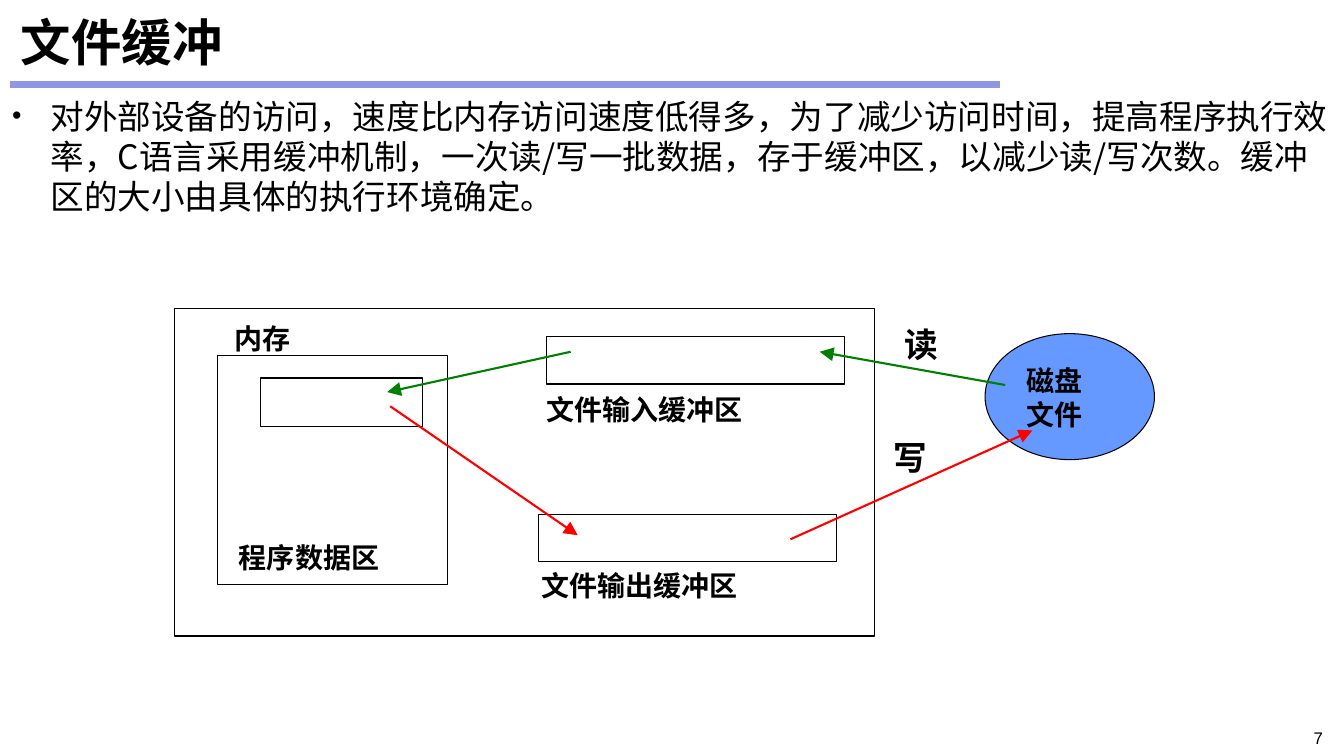
from dataclasses import dataclass

from lxml import etree
from pptx import Presentation
from pptx import util as u
from pptx.dml.color import RGBColor
from pptx.enum import shapes, text
from pptx.oxml import ns

CJK_FONT = "Noto Sans CJK SC"
BLACK, WHITE, DISK_BLUE, RULE_BLUE = "000000", "FFFFFF", "6699FF", "8D97E5"
READ_GREEN, WRITE_RED = "008000", "FF0000"
RECTANGLE = shapes.MSO_SHAPE.RECTANGLE
OVAL = shapes.MSO_SHAPE.OVAL
LINE_RATIO = 1.2
LABEL_SLACK = 0.06


@dataclass
class Area:
    left: float
    top: float
    width: float
    height: float
    kind: shapes.MSO_SHAPE = RECTANGLE
    fill: str = WHITE


@dataclass
class Label:
    content: str
    left: float
    top: float
    size: int = 20


@dataclass
class Line:
    start: tuple[float, float]
    end: tuple[float, float]
    color: str
    width: float = 1.5
    arrow: bool = True


AREAS = [
    Area(1.73, 3.06, 6.94, 3.25),
    Area(2.16, 3.53, 2.28, 2.27),
    Area(5.42, 3.34, 2.96, 0.47),
    Area(5.34, 5.1, 2.96, 0.47),
    Area(2.58, 3.75, 1.61, 0.48),
    Area(9.77, 3.31, 1.68, 1.25, OVAL, DISK_BLUE),
]

LABELS = [
    Label("内存", 2.33, 3.19),
    Label("程序数据区", 2.37, 5.36),
    Label("文件输入缓冲区", 5.42, 3.89),
    Label("文件输出缓冲区", 5.37, 5.64),
    Label("磁盘", 10.18, 3.61),
    Label("文件", 10.18, 3.94),
    Label("读", 8.97, 3.21, 24),
    Label("写", 8.86, 4.33, 24),
]

HEADER_RULE = Line((0.1, 0.84), (9.92, 0.84), RULE_BLUE, 4.5, False)

ARROWS = [
    Line((5.66, 3.49), (3.84, 3.89), READ_GREEN),
    Line((9.97, 3.82), (8.13, 3.49), READ_GREEN),
    Line((3.87, 4.03), (5.73, 5.31), WRITE_RED),
    Line((7.84, 5.35), (10.24, 4.27), WRITE_RED),
]

BODY = (
    "对外部设备的访问，速度比内存访问速度低得多，为了减少访问时间，提高程序执行效率，"
    "C语言采用缓冲机制，一次读/写一批数据，存于缓冲区，以减少读/写次数。"
    "缓冲区的大小由具体的执行环境确定。"
)


def color(value: str) -> RGBColor:
    return RGBColor.from_string(value)


def add_area(slide, area: Area) -> None:
    bounds = map(u.Inches, (area.left, area.top, area.width, area.height))
    shape = slide.shapes.add_shape(area.kind, *bounds)
    shape.shadow.inherit = False
    shape.fill.solid()
    shape.fill.fore_color.rgb = color(area.fill)
    shape.line.color.rgb = color(BLACK)
    shape.line.width = u.Pt(0.75)


def add_line(slide, line: Line) -> None:
    ends = map(u.Inches, (*line.start, *line.end))
    connector = slide.shapes.add_connector(shapes.MSO_CONNECTOR.STRAIGHT, *ends)
    connector.line.color.rgb = color(line.color)
    connector.line.width = u.Pt(line.width)
    if line.arrow:
        outline = connector.line._get_or_add_ln()
        etree.SubElement(outline, ns.qn("a:tailEnd"), type="triangle", w="lg", len="lg")
    etree.SubElement(connector._element.spPr, ns.qn("a:effectLst"))


def add_text(slide, bounds: tuple, content: str, size: int, bold: bool = False,
             font: str = CJK_FONT, insets: tuple = (0, 0, 0, 0), wrap: bool = True):
    shape = slide.shapes.add_textbox(*map(u.Inches, bounds))
    frame = shape.text_frame
    frame.word_wrap = wrap
    (frame.margin_left, frame.margin_top,
     frame.margin_right, frame.margin_bottom) = map(u.Inches, insets)
    paragraph = frame.paragraphs[0]
    run = paragraph.add_run()
    run.text = content
    run.font.size = u.Pt(size)
    run.font.bold = bold
    run.font.color.rgb = color(BLACK)
    run.font.name = font
    etree.SubElement(run.font._element, ns.qn("a:ea"), typeface=font)
    return shape


def add_label(slide, label: Label) -> None:
    line_height = label.size * LINE_RATIO
    width = len(label.content) * label.size / 72 + LABEL_SLACK
    bounds = (label.left, label.top, width, line_height / 72)
    shape = add_text(slide, bounds, label.content, label.size, bold=True, wrap=False)
    frame = shape.text_frame
    frame.auto_size = text.MSO_AUTO_SIZE.SHAPE_TO_FIT_TEXT
    frame.paragraphs[0].line_spacing = u.Pt(line_height)


def add_body(slide) -> None:
    shape = add_text(slide, (0.1, 0.94, 13.12, 6.51), BODY, 24, insets=(0.02, 0.01, 0.02, 0.01))
    paragraph = shape.text_frame.paragraphs[0]
    paragraph.line_spacing = u.Pt(28.6)
    properties = paragraph._p.get_or_add_pPr()
    properties.set("marL", str(u.Inches(0.38)))
    properties.set("indent", str(u.Inches(-0.38)))
    etree.SubElement(properties, ns.qn("a:buSzPct"), val="80000")
    etree.SubElement(properties, ns.qn("a:buFont"), typeface="Arial")
    etree.SubElement(properties, ns.qn("a:buChar"), char="•")


def main() -> None:
    presentation = Presentation()
    presentation.slide_width = u.Inches(13.33)
    presentation.slide_height = u.Inches(7.5)
    slide = presentation.slides.add_slide(presentation.slide_layouts[6])

    add_line(slide, HEADER_RULE)
    title = add_text(slide, (0.11, 0.08, 13.11, 0.67), "文件缓冲", 36, bold=True,
                     insets=(0.1, 0.05, 0.1, 0.05))
    title.text_frame.vertical_anchor = text.MSO_ANCHOR.MIDDLE
    add_body(slide)

    for area in AREAS:
        add_area(slide, area)
    for label in LABELS:
        add_label(slide, label)
    for arrow in ARROWS:
        add_line(slide, arrow)

    number = add_text(slide, (11.91, 7.17, 1.31, 0.25), "7", 12, font="Arial",
                      insets=(0.1, 0.05, 0.1, 0.05))
    number.text_frame.paragraphs[0].alignment = text.PP_ALIGN.RIGHT

    presentation.save("out.pptx")


if __name__ == "__main__":
    main()
